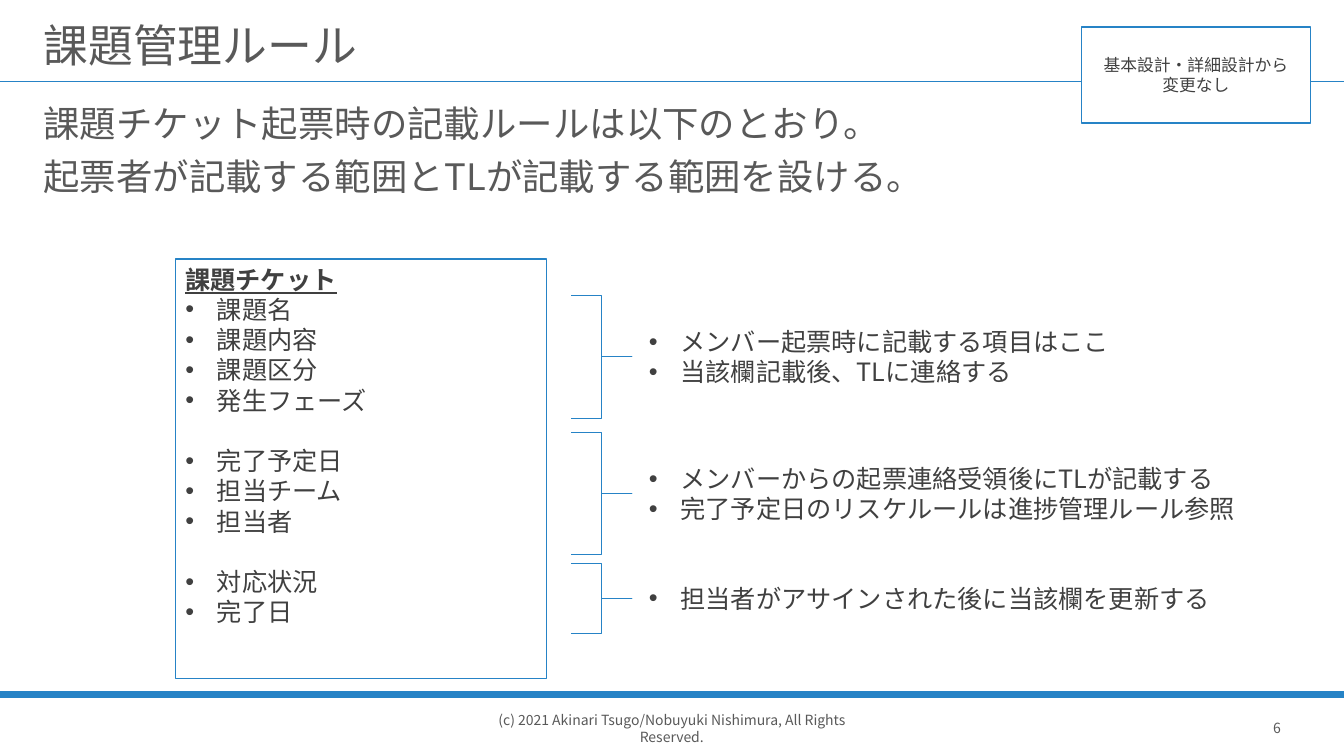
from dataclasses import dataclass

from lxml import etree
from pptx import Presentation
from pptx import util as u
from pptx.dml.color import RGBColor
from pptx.enum import shapes, text
from pptx.oxml.ns import qn

Pt = u.Pt
FONT = "Noto Sans CJK JP"
COLOURS = {"accent": "2683C6", "paper": "FFFFFF", "heading": "595959", "ink": "404040"}
WIDTH, HEIGHT = 960, 540
LINE_PITCH = 21.6
BULLET_INDENT = 22.5
BRACE_LEFT, BRACE_WIDTH = 408.2, 43.2
NOTE_LEFT, NOTE_WIDTH = 456.5, 436.3


@dataclass
class Area:
    left: float
    top: float
    width: float
    height: float

    def lengths(self) -> list:
        return [Pt(v) for v in (self.left, self.top, self.width, self.height)]


@dataclass
class Stage:
    """A bracketed group of ticket fields with the rules for filling them in."""
    fields: list[str]
    rules: list[str]
    top: float
    height: float


STAGES = [
    Stage(["課題名", "課題内容", "課題区分", "発生フェーズ"],
          ["メンバー起票時に記載する項目はここ", "当該欄記載後、TLに連絡する"], 211.2, 87.3),
    Stage(["完了予定日", "担当チーム", "担当者"],
          ["メンバーからの起票連絡受領後にTLが記載する",
           "完了予定日のリスケルールは進捗管理ルール参照"], 308.9, 87.3),
    Stage(["対応状況", "完了日"],
          ["担当者がアサインされた後に当該欄を更新する"], 402.5, 49.6),
]


def colour(name: str) -> RGBColor:
    return RGBColor.from_string(COLOURS[name])


def add_span(para, words: str, size: float, ink: str = "ink", strong: bool = False) -> None:
    span = para.add_run()
    span.text = words
    span.font.size = Pt(size)
    span.font.bold = span.font.underline = strong
    span.font.color.rgb = colour(ink)
    span.font.name = FONT
    latin = span.font._element.find(qn("a:latin"))
    east_asian = etree.Element(qn("a:ea"), typeface=FONT)
    latin.addnext(east_asian)


def set_bullet(para, char: str = "", indent: float = 0) -> None:
    """Give a hanging bullet, or none at all when char is empty."""
    props = para._p.get_or_add_pPr()
    props.set("marL", str(Pt(indent)))
    props.set("indent", str(-Pt(indent)))
    if char:
        etree.SubElement(props, qn("a:buFont"), typeface="Arial")
        etree.SubElement(props, qn("a:buChar"), char=char)
    else:
        etree.SubElement(props, qn("a:buNone"))


def next_para(frame, is_first: bool):
    return frame.paragraphs[0] if is_first else frame.add_paragraph()


def place(box, area: Area) -> None:
    box.left, box.top, box.width, box.height = area.lengths()


def add_rule(page, y: float, weight: float) -> None:
    rule = page.shapes.add_connector(
        shapes.MSO_CONNECTOR.STRAIGHT, Pt(0), Pt(y), Pt(WIDTH), Pt(y))
    rule.line.color.rgb = colour("accent")
    rule.line.width = Pt(weight)
    etree.SubElement(rule._element.spPr, qn("a:effectLst"))


def add_outline(page, kind, area: Area, weight: float, filled: bool = True):
    box = page.shapes.add_shape(kind, *area.lengths())
    box.shadow.inherit = False
    if filled:
        box.fill.solid()
        box.fill.fore_color.rgb = colour("paper")
    else:
        box.fill.background()
    box.line.color.rgb = colour("accent")
    box.line.width = Pt(weight)
    return box


def add_footer(page, words: str, area: Area) -> None:
    frame = page.shapes.add_textbox(*area.lengths()).text_frame
    frame.word_wrap = False
    frame.vertical_anchor = text.MSO_ANCHOR.MIDDLE
    para = frame.paragraphs[0]
    para.alignment = text.PP_ALIGN.CENTER
    add_span(para, words, 10, "heading")


def fill_placeholder(box, area: Area, lines: list[str], size: float) -> None:
    place(box, area)
    frame = box.text_frame
    frame.auto_size = text.MSO_AUTO_SIZE.NONE
    for i, line in enumerate(lines):
        para = next_para(frame, i == 0)
        para.alignment = text.PP_ALIGN.LEFT
        para.line_spacing = 0.9
        para.space_before = Pt(10 if i else 0)
        set_bullet(para)
        add_span(para, line, size, "heading")


def add_ticket(page, area: Area) -> None:
    frame = add_outline(page, shapes.MSO_SHAPE.RECTANGLE, area, 1).text_frame
    frame.word_wrap = True
    frame.vertical_anchor = text.MSO_ANCHOR.TOP
    heading = frame.paragraphs[0]
    heading.alignment = text.PP_ALIGN.LEFT
    add_span(heading, "課題チケット", 18, strong=True)
    for group, stage in enumerate(STAGES):
        for i, field in enumerate(stage.fields):
            para = frame.add_paragraph()
            para.alignment = text.PP_ALIGN.LEFT
            para.space_before = Pt(LINE_PITCH if group and i == 0 else 0)
            set_bullet(para, "•", BULLET_INDENT)
            add_span(para, field, 18)


def add_stage(page, stage: Stage) -> None:
    brace = add_outline(page, shapes.MSO_SHAPE.RIGHT_BRACE,
                        Area(BRACE_LEFT, stage.top, BRACE_WIDTH, stage.height), 0.5, False)
    brace.adjustments[0], brace.adjustments[1] = 0, 0.5
    height = 7.2 + LINE_PITCH * len(stage.rules)
    top = stage.top + (stage.height - height) / 2
    note = page.shapes.add_textbox(*Area(NOTE_LEFT, top, NOTE_WIDTH, height).lengths())
    frame = note.text_frame
    frame.word_wrap = True
    frame.vertical_anchor = text.MSO_ANCHOR.MIDDLE
    for i, rule in enumerate(stage.rules):
        para = next_para(frame, i == 0)
        set_bullet(para, "•", BULLET_INDENT)
        add_span(para, rule, 18)


def add_badge(page, area: Area) -> None:
    frame = add_outline(page, shapes.MSO_SHAPE.RECTANGLE, area, 1).text_frame
    frame.word_wrap = True
    frame.vertical_anchor = text.MSO_ANCHOR.MIDDLE
    para = frame.paragraphs[0]
    para.alignment = text.PP_ALIGN.CENTER
    add_span(para, "基本設計・詳細設計から", 12)
    para.add_line_break()
    add_span(para, "変更なし", 12)


def main() -> None:
    deck = Presentation()
    deck.slide_width, deck.slide_height = Pt(WIDTH), Pt(HEIGHT)
    page = deck.slides.add_slide(deck.slide_layouts[1])
    title, body = page.placeholders[0], page.placeholders[1]

    fill_placeholder(title, Area(23.8, 4.3, 912.2, 49.7), ["課題管理ルール"], 32)
    title.text_frame.vertical_anchor = text.MSO_ANCHOR.MIDDLE
    title.text_frame.margin_top = Pt(14.4)
    fill_placeholder(body, Area(23.8, 72, 912.2, 76),
                     ["課題チケット起票時の記載ルールは以下のとおり。",
                      "起票者が記載する範囲とTLが記載する範囲を設ける。"], 26)

    add_rule(page, 58, 1)
    add_rule(page, 496, 4.5)
    add_footer(page, "6", Area(888.5, 500.4, 47.5, 39.6))
    add_footer(page, "(c) 2021 Akinari Tsugo/Nobuyuki Nishimura, All Rights Reserved.",
               Area(332.6, 500.4, 294.5, 39.6))
    add_ticket(page, Area(125.3, 185, 265, 299.5))
    for stage in STAGES:
        add_stage(page, stage)
    add_badge(page, Area(772.6, 19.4, 163.4, 68.4))
    deck.save("out.pptx")


if __name__ == "__main__":
    main()
